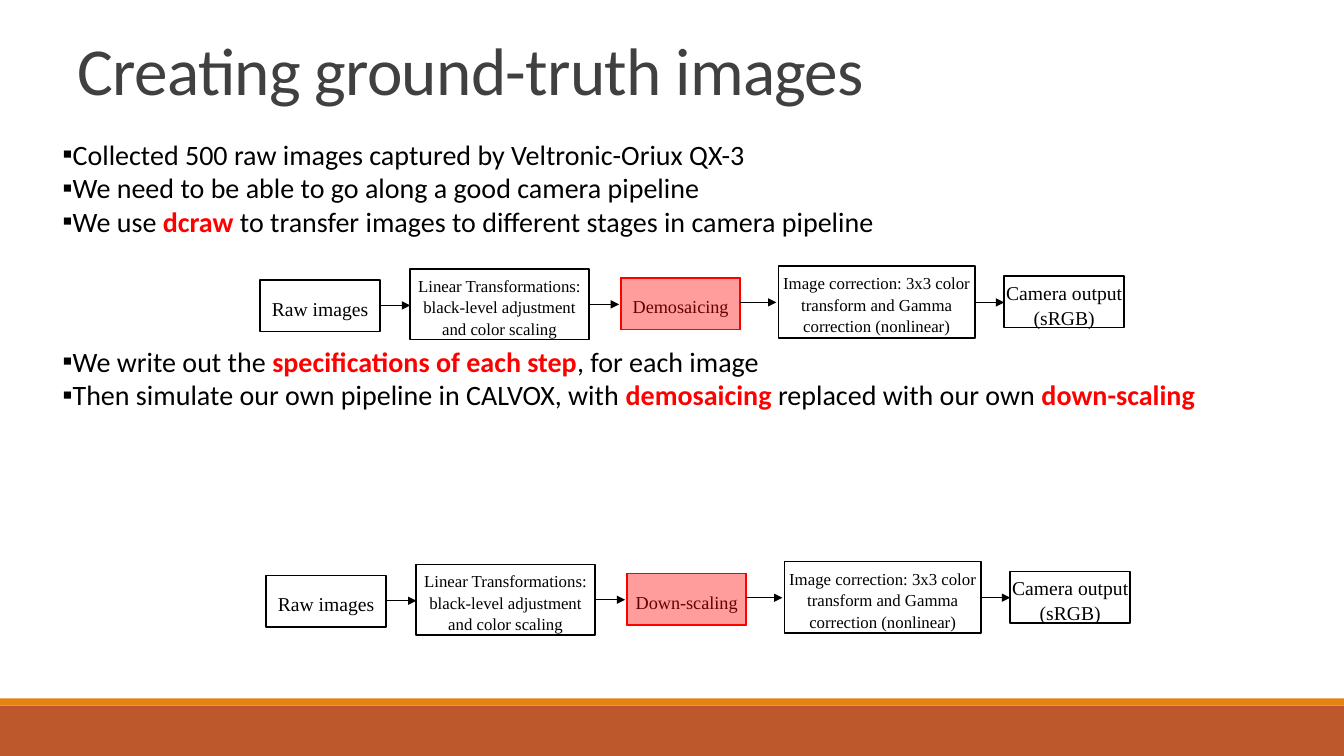
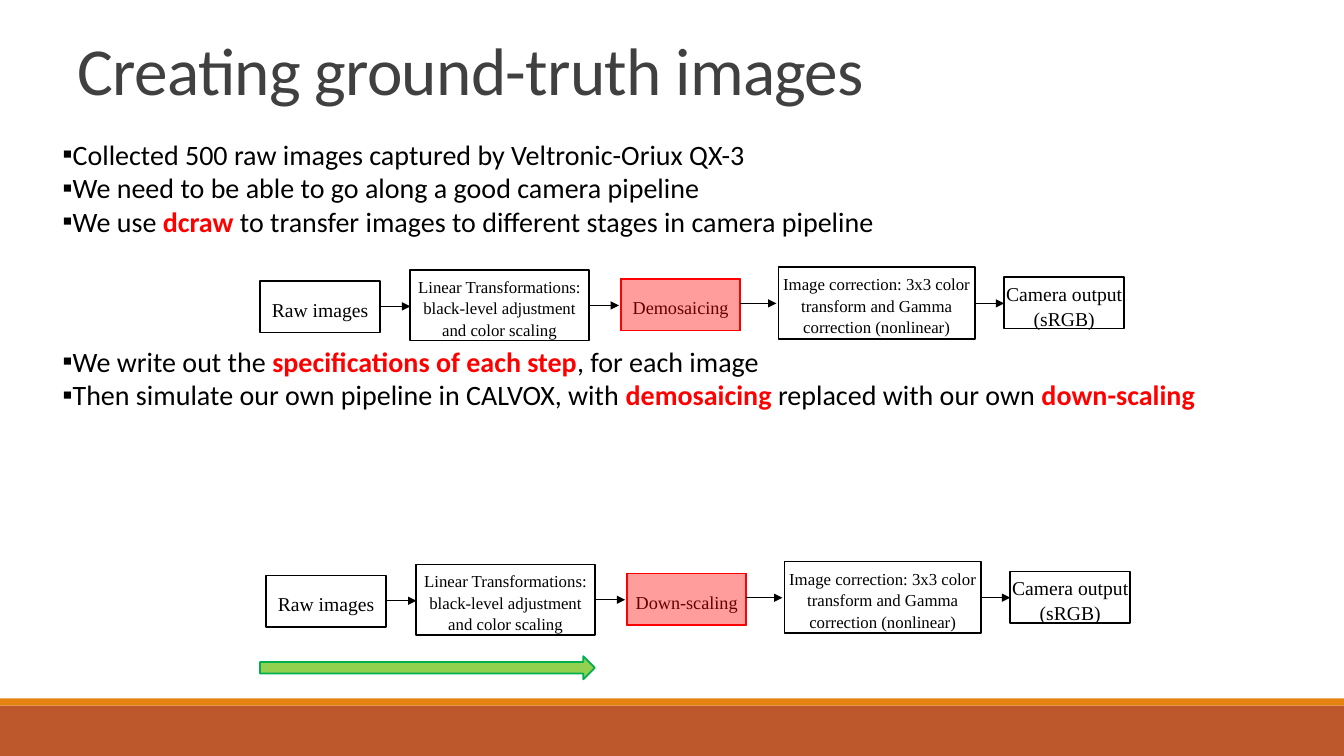
from lxml.etree import SubElement
from pptx import Presentation
from pptx.dml.color import RGBColor
from pptx.enum.shapes import MSO_CONNECTOR, MSO_SHAPE
from pptx.enum.text import MSO_ANCHOR, MSO_AUTO_SIZE, PP_ALIGN
from pptx.oxml.ns import qn
from pptx.util import Inches, Pt

COLORS = {
    "band": "BD582C", "strip": "E48312", "title": "404040", "ink": "000000",
    "paper": "FFFFFF", "red": "FF0000", "lime": "92D050", "green": "00B050",
}
BULLETS = (
    ("Collected 500 raw images captured by Veltronic-Oriux QX-3", 0),
    ("We need to be able to go along a good camera pipeline", 0),
    ("We use *dcraw *to transfer images to different stages in camera pipeline", 0),
    ("We write out the *specifications of each step*, for each image", 76),
    ("Then simulate our own pipeline in CALVOX, with *demosaicing *"
     "replaced with our own *down-scaling", 0),
)
STAGES = (
    ("Raw images", 0, 0.14, 1.19, 0.51, 14),
    ("Linear Transformations:\vblack-level adjustment and color scaling",
     1.49, 0.03, 1.77, 0.7, 12),
    (None, 3.58, 0.12, 1.18, 0.51, 13),
    ("Image correction: 3x3 color transform and Gamma correction (nonlinear)",
     5.14, 0, 1.95, 0.71, 12),
    ("Camera output (sRGB)", 7.38, 0.1, 1.19, 0.51, 14),
)
ARROWS = ((0.39, 0), (0.38, 0.02), (0.36, 0.02), (0.36, 0))


def color(name):
    """Return a palette colour."""
    return RGBColor.from_string(COLORS[name])


def place(shape, *box):
    """Move a shape to a box given in inches."""
    shape.left, shape.top, shape.width, shape.height = map(Inches, box)


def draw(slide, box, fill, line=None, kind=MSO_SHAPE.RECTANGLE):
    """Draw a flat filled shape in a box given in inches."""
    shape = slide.shapes.add_shape(kind, *map(Inches, box))
    shape.shadow.inherit = False
    shape.fill.solid()
    shape.fill.fore_color.rgb = color(fill)
    if line:
        shape.line.color.rgb = color(line)
        shape.line.width = Pt(1.25)
    else:
        shape.line.fill.background()
    return shape


def add_bands(slide, master):
    """Put the two footer bands on the master."""
    for box, fill in (((0, 6.93, 13.33, 0.07), "strip"), ((0, 7, 13.33, 0.5), "band")):
        band = draw(slide, box, fill)
        master.shapes._spTree.insert(2, band._element)


def add_title(slide, text):
    """Fill the title placeholder."""
    title = slide.shapes.title
    place(title, 0.52, 0.34, 12.36, 0.81)
    frame = title.text_frame
    frame.text = text
    frame.auto_size = MSO_AUTO_SIZE.NONE
    frame.vertical_anchor = MSO_ANCHOR.MIDDLE
    frame.margin_left = Inches(0.25)
    para = frame.paragraphs[0]
    para.alignment = PP_ALIGN.LEFT
    para.line_spacing = 0.85
    para.font.name = "Calibri"
    para.font.size = Pt(48)
    para.font.color.rgb = color("title")
    para.runs[0]._r.get_or_add_rPr().set("spc", "-50")


def add_list(slide):
    """Fill the body placeholder, with starred words bold and red."""
    body = slide.placeholders[1]
    place(body, 0.52, 1.31, 12.57, 5.67)
    frame = body.text_frame
    frame.auto_size = MSO_AUTO_SIZE.NONE
    for i, (text, gap) in enumerate(BULLETS):
        para = frame.add_paragraph() if i else frame.paragraphs[0]
        props = para._p.get_or_add_pPr()
        props.set("marL", str(Inches(0.1)))
        props.set("indent", str(-Inches(0.1)))
        SubElement(props, qn("a:buFont"), typeface="Calibri")
        SubElement(props, qn("a:buChar"), char="▪")
        para.space_before = Pt(gap)
        para.font.name = "Calibri"
        para.font.size = Pt(20)
        for j, part in enumerate(text.split("*")):
            run = para.add_run()
            run.text = part
            run.font.bold = j % 2 == 1
            run.font.color.rgb = color("red" if j % 2 else "ink")


def add_stage(slide, box, text, size):
    """Draw one labelled pipeline stage."""
    frame = draw(slide, box, "paper", "ink").text_frame
    frame.margin_left = frame.margin_right = frame.margin_bottom = 0
    frame.margin_top = Inches(0.04)
    frame.word_wrap = True
    frame.vertical_anchor = MSO_ANCHOR.MIDDLE
    para = frame.paragraphs[0]
    para.text = text
    para.alignment = PP_ALIGN.CENTER
    para.line_spacing = 1.07
    para.space_after = Pt(8)
    para.font.name = "Times New Roman"
    para.font.size = Pt(size)
    para.font.color.rgb = color("ink")


def add_arrow(slide, start, end, y):
    """Draw a thin arrow pointing right."""
    arrow = slide.shapes.add_connector(
        MSO_CONNECTOR.STRAIGHT, *map(Inches, (start, y, end, y)))
    arrow.line.color.rgb = color("ink")
    arrow.line.width = Pt(1)
    SubElement(arrow.line._get_or_add_ln(), qn("a:tailEnd"), type="triangle")
    SubElement(arrow._element.spPr, qn("a:effectLst"))


def add_flow(slide, left, top, step):
    """Draw the pipeline from its top left corner, with the middle step marked."""
    for text, x, y, width, height, size in STAGES:
        box = left + x, top + y, width, height
        add_stage(slide, box, text or step, size)
        if not text:
            tint = draw(slide, box, "red", "red")
            hue = tint.fill._xPr.find(qn("a:solidFill"))[0]
            SubElement(hue, qn("a:alpha"), val="39000")
    for stage, after, (y, gap) in zip(STAGES, STAGES[1:], ARROWS):
        add_arrow(slide, left + stage[1] + stage[3], left + after[1] - gap, top + y)


def add_page(deck, top):
    """Add a slide with the list and both pipelines."""
    slide = deck.slides.add_slide(deck.slide_layouts[1])
    add_title(slide, "Creating ground-truth images")
    add_list(slide)
    add_flow(slide, 2.58, top, "Demosaicing")
    add_flow(slide, 2.64, 5.57, "Down-scaling")
    return slide


def main():
    """Build and save the deck."""
    deck = Presentation()
    deck.slide_width, deck.slide_height = Inches(13.33), Inches(7.5)
    first = add_page(deck, 2.64)
    add_bands(first, deck.slide_master)
    second = add_page(deck, 2.65)
    draw(second, (2.58, 6.51, 3.32, 0.23), "lime", "green", MSO_SHAPE.RIGHT_ARROW)
    deck.save("out.pptx")


if __name__ == "__main__":
    main()
